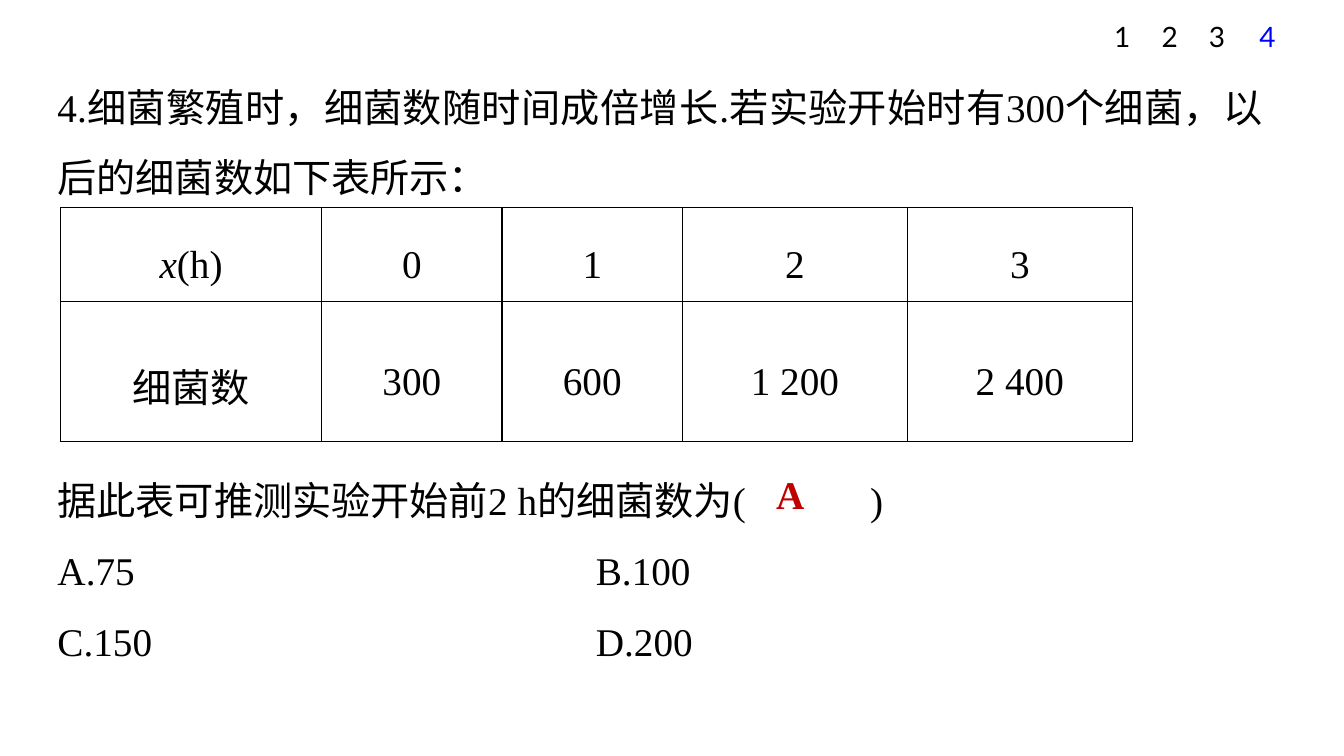
"""Build the exercise slide on bacterial growth with its data table."""
from lxml import etree
from pptx import Presentation
from pptx.dml.color import RGBColor
from pptx.enum.text import MSO_ANCHOR, MSO_AUTO_SIZE, PP_ALIGN
from pptx.oxml.ns import qn
from pptx.util import Inches, Pt

BLACK = RGBColor(0x00, 0x00, 0x00)
BLUE = RGBColor(0x00, 0x00, 0xFF)
RED = RGBColor(0xC0, 0x00, 0x00)
SERIF = "Times New Roman"


def add_run(paragraph, text, size=28, font=SERIF, color=BLACK, bold=False, italic=False):
    run = paragraph.add_run()
    run.text = text
    for name, value in {"size": Pt(size), "name": font, "bold": bold, "italic": italic}.items():
        setattr(run.font, name, value)
    run.font.color.rgb = color


def add_frame(left, top, width, height, side=0.13, edge=0.07, **settings):
    box = slide.shapes.add_textbox(Inches(left), Inches(top), Inches(width), Inches(height))
    frame = box.text_frame
    margins = {"margin_left": Inches(side), "margin_right": Inches(side),
               "margin_top": Inches(edge), "margin_bottom": Inches(edge)}
    for name, value in {**margins, **settings}.items():
        setattr(frame, name, value)
    return frame


prs = Presentation()
prs.slide_width, prs.slide_height = Inches(13.33), Inches(7.5)
slide = prs.slides.add_slide(prs.slide_layouts[6])

page_numbers = [
    ("1", 10.92, PP_ALIGN.RIGHT, BLACK),
    ("2", 11.39, PP_ALIGN.CENTER, BLACK),
    ("3", 11.86, PP_ALIGN.CENTER, BLACK),
    ("4", 12.36, PP_ALIGN.CENTER, BLUE),
]
for number, left, alignment, color in page_numbers:
    page = add_frame(left, 0.05, 0.39, 0.63, word_wrap=False,
                     vertical_anchor=MSO_ANCHOR.MIDDLE).paragraphs[0]
    page.alignment = alignment
    add_run(page, number, size=20, font="Lato", color=color)

growing = {"word_wrap": True, "auto_size": MSO_AUTO_SIZE.SHAPE_TO_FIT_TEXT}
question = add_frame(0.44, 0.52, 12.21, 1.46, **growing).paragraphs[0]
question.alignment = PP_ALIGN.JUSTIFY
question.line_spacing = 1.5
add_run(question, "4.细菌繁殖时，细菌数随时间成倍增长.若实验开始时有300个细菌，以后的细菌数如下表所示：")

bacteria_rows = [
    ["x(h)", "0", "1", "2", "3"],
    ["细菌数", "300", "600", "1 200", "2 400"],
]
bacteria = slide.shapes.add_table(2, 5, Inches(0.6), Inches(2.06), Inches(10.63), Inches(2.32)).table
bacteria.first_row = bacteria.horz_banding = False
for column, width in zip(bacteria.columns, [2.59, 1.79, 1.79, 2.23, 2.23]):
    column.width = Inches(width)
for row, height, values in zip(bacteria.rows, [0.93, 1.39], bacteria_rows):
    row.height = Inches(height)
    for cell, value in zip(row.cells, values):
        cell.fill.background()
        cell.vertical_anchor = MSO_ANCHOR.MIDDLE
        cell.margin_left = cell.margin_right = Inches(0.07)
        cell.margin_top = cell.margin_bottom = 0
        entry = cell.text_frame.paragraphs[0]
        entry.alignment = PP_ALIGN.CENTER
        entry.line_spacing = 1.5
        if value == "x(h)":
            add_run(entry, "x", italic=True)
            add_run(entry, "(h)")
        else:
            add_run(entry, value)
        properties = cell._tc.get_or_add_tcPr()
        for position, side in enumerate(["a:lnL", "a:lnR", "a:lnT", "a:lnB"]):
            border = etree.Element(qn(side), w=str(Pt(1)))
            solid = etree.SubElement(border, qn("a:solidFill"))
            etree.SubElement(solid, qn("a:srgbClr"), val=str(BLACK))
            properties.insert(position, border)

choices = add_frame(0.44, 4.42, 12.21, 2.17, **growing)
choice_lines = [
    ("据此表可推测实验开始前2 h的细菌数为(\t)", 8.06),
    ("A.75\tB.100", 5.34),
    ("C.150\tD.200", 5.34),
]
for index, (text, stop) in enumerate(choice_lines):
    line = choices.add_paragraph() if index else choices.paragraphs[0]
    line.alignment = PP_ALIGN.JUSTIFY
    line.line_spacing = 1.5
    tabs = etree.SubElement(line._p.get_or_add_pPr(), qn("a:tabLst"))
    etree.SubElement(tabs, qn("a:tab"), pos=str(Inches(stop)), algn="l")
    add_run(line, text)

answer = add_frame(7.6, 4.62, 0.49, 0.57, side=0.1, edge=0.05, word_wrap=False,
                   auto_size=MSO_AUTO_SIZE.SHAPE_TO_FIT_TEXT)
add_run(answer.paragraphs[0], "A", color=RED, bold=True)

prs.save("out.pptx")
